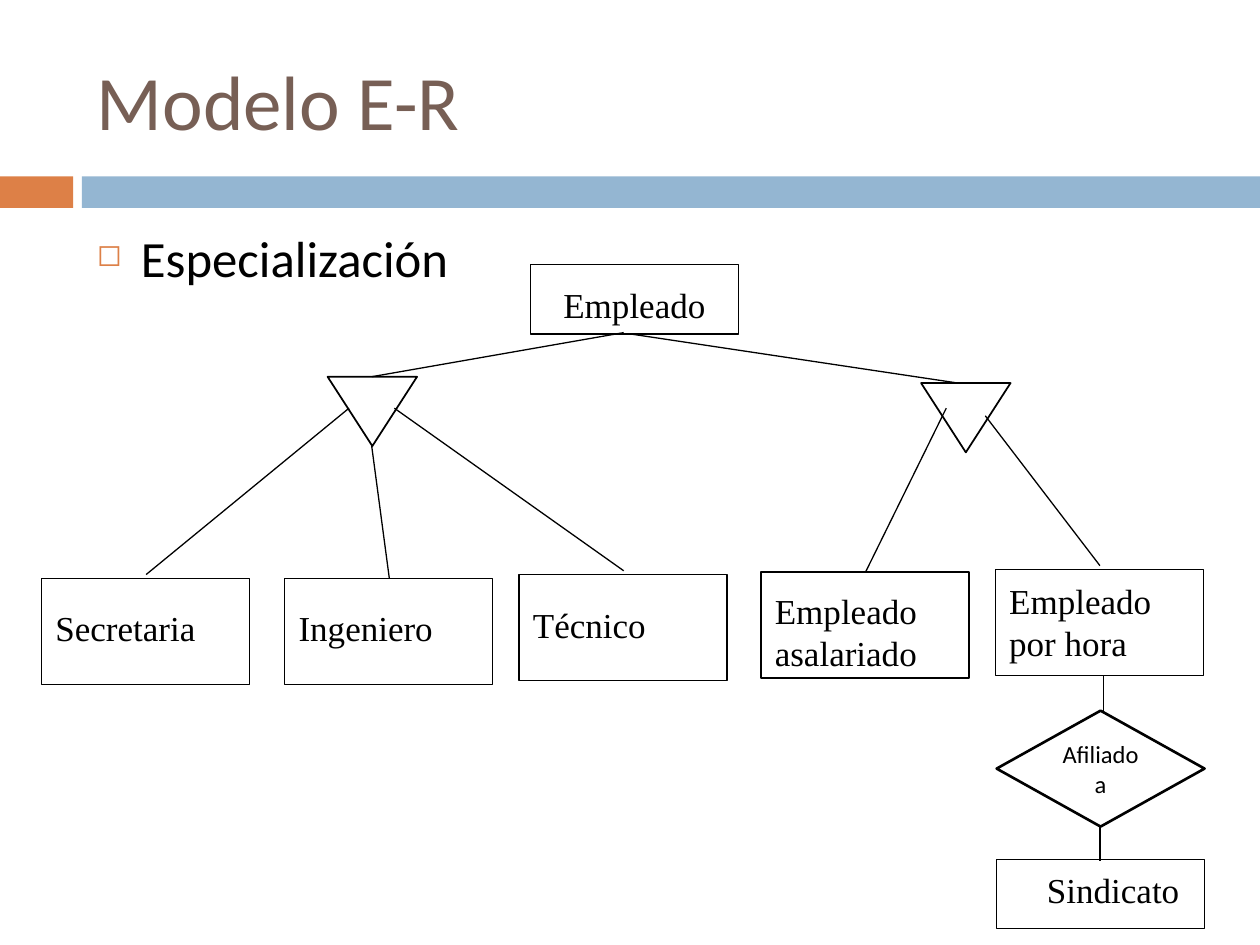
from lxml import etree
from pptx import Presentation
from pptx.dml.color import RGBColor
from pptx.enum import shapes, text
from pptx.oxml import ns
from pptx.util import Inches, Pt

COLORS = {"orange": "DD8047", "blue": "94B6D2", "brown": "775F55", "black": "000000"}
SERIF, SANS = "Times New Roman", "Calibri"

deck = Presentation()
deck.slide_width, deck.slide_height = Inches(10), Inches(7.5)
page = deck.slides.add_slide(deck.slide_layouts[6])


def add_shape(kind, area, fill=None, line_width=None):
    shape = page.shapes.add_shape(kind, *map(Inches, area))
    shape.shadow.inherit = False
    if fill:
        shape.fill.solid()
        shape.fill.fore_color.rgb = RGBColor.from_string(COLORS[fill])
    else:
        shape.fill.background()
    if line_width:
        shape.line.color.rgb = RGBColor.from_string(COLORS["black"])
        shape.line.width = Pt(line_width)
    else:
        shape.line.fill.background()
    return shape


def write(shape, words, size, font, color="black", align=text.PP_ALIGN.LEFT,
          anchor=text.MSO_ANCHOR.TOP, margins=(0.1, 0.05)):
    frame = shape.text_frame
    frame.word_wrap = True
    frame.vertical_anchor = anchor
    frame.margin_left = frame.margin_right = Inches(margins[0])
    frame.margin_top = frame.margin_bottom = Inches(margins[1])
    frame.text = words
    para = frame.paragraphs[0]
    para.alignment = align
    span = para.runs[0]
    span.font.size = Pt(size)
    span.font.name = font
    span.font.color.rgb = RGBColor.from_string(COLORS[color])
    return para


# Header bars and title
add_shape(shapes.MSO_SHAPE.RECTANGLE, (0, 1.4, 0.58, 0.25), "orange")
add_shape(shapes.MSO_SHAPE.RECTANGLE, (0.65, 1.4, 9.35, 0.25), "blue")
title = page.shapes.add_textbox(Inches(0.67), Inches(0.25), Inches(8.92), Inches(1.08))
write(title, "Modelo E-R", 44, SANS, "brown", anchor=text.MSO_ANCHOR.MIDDLE)

# Bulleted heading
body = page.shapes.add_textbox(Inches(0.67), Inches(1.75), Inches(8.92), Inches(4.92))
para = write(body, "Especialización", 29, SANS, align=text.PP_ALIGN.JUSTIFY)
props = para._p.get_or_add_pPr()
props.set("marL", str(Inches(0.35)))
props.set("indent", str(-Inches(0.35)))
bullet_color = etree.SubElement(props, ns.qn("a:buClr"))
etree.SubElement(bullet_color, ns.qn("a:srgbClr"), val=COLORS["orange"])
etree.SubElement(props, ns.qn("a:buSzPct"), val="60000")
etree.SubElement(props, ns.qn("a:buChar"), char="◻")

# Entities: name, box left, top, height, then label left, top, width, height, alignment
LEFT, CENTER = text.PP_ALIGN.LEFT, text.PP_ALIGN.CENTER
entities = [
    ("Empleado", 4.21, 2.1, 0.55, 4.21, 2.19, 1.65, 0.45, CENTER),
    ("Secretaria", 0.33, 4.59, 0.84, 0.33, 4.75, 1.74, 0.68, LEFT),
    ("Ingeniero", 2.26, 4.59, 0.84, 2.26, 4.75, 1.74, 0.68, LEFT),
    ("Técnico", 4.12, 4.56, 0.84, 4.12, 4.73, 1.74, 0.68, LEFT),
    ("Empleado asalariado", 6.04, 4.54, 0.84, 6.04, 4.62, 1.74, 1.2, LEFT),
    ("Empleado por hora", 7.9, 4.52, 0.84, 7.9, 4.54, 1.74, 1.2, LEFT),
    ("Sindicato", 7.91, 6.82, 0.55, 8.01, 6.83, 1.65, 0.45, CENTER),
]
for name, left, top, height, *label_area, align in entities:
    label = page.shapes.add_textbox(*map(Inches, label_area))
    write(label, name, 20, SERIF, align=align, margins=(0.11, 0.06))
    add_shape(shapes.MSO_SHAPE.FLOWCHART_PROCESS, (left, top, 1.65, height), line_width=0.75)

# Relationship
diamond = add_shape(shapes.MSO_SHAPE.FLOWCHART_DECISION, (7.91, 5.64, 1.65, 0.92), line_width=1.5)
write(diamond, "Afiliado a", 14, SANS, align=CENTER, anchor=text.MSO_ANCHOR.MIDDLE)

# Specialization triangles
for left, top in [(2.6, 2.99), (7.31, 3.04)]:
    triangle = add_shape(shapes.MSO_SHAPE.ISOSCELES_TRIANGLE, (left, top, 0.71, 0.55), line_width=1)
    triangle.rotation = 180

# Links
links = [
    (4.95, 2.64, 2.95, 2.99), (5, 2.65, 7.6, 3.04),
    (2.77, 3.24, 1.16, 4.56), (2.95, 3.54, 3.09, 4.59), (3.13, 3.24, 4.95, 4.53),
    (7.51, 3.24, 6.87, 4.54), (7.82, 3.3, 8.73, 4.49),
    (8.76, 5.36, 8.76, 5.64), (8.73, 6.55, 8.73, 6.83),
]
for ends in links:
    link = page.shapes.add_connector(shapes.MSO_CONNECTOR.STRAIGHT, *map(Inches, ends))
    link.line.color.rgb = RGBColor.from_string(COLORS["black"])
    link.line.width = Pt(0.75)
    etree.SubElement(link._element.spPr, ns.qn("a:effectLst"))

deck.save("out.pptx")
